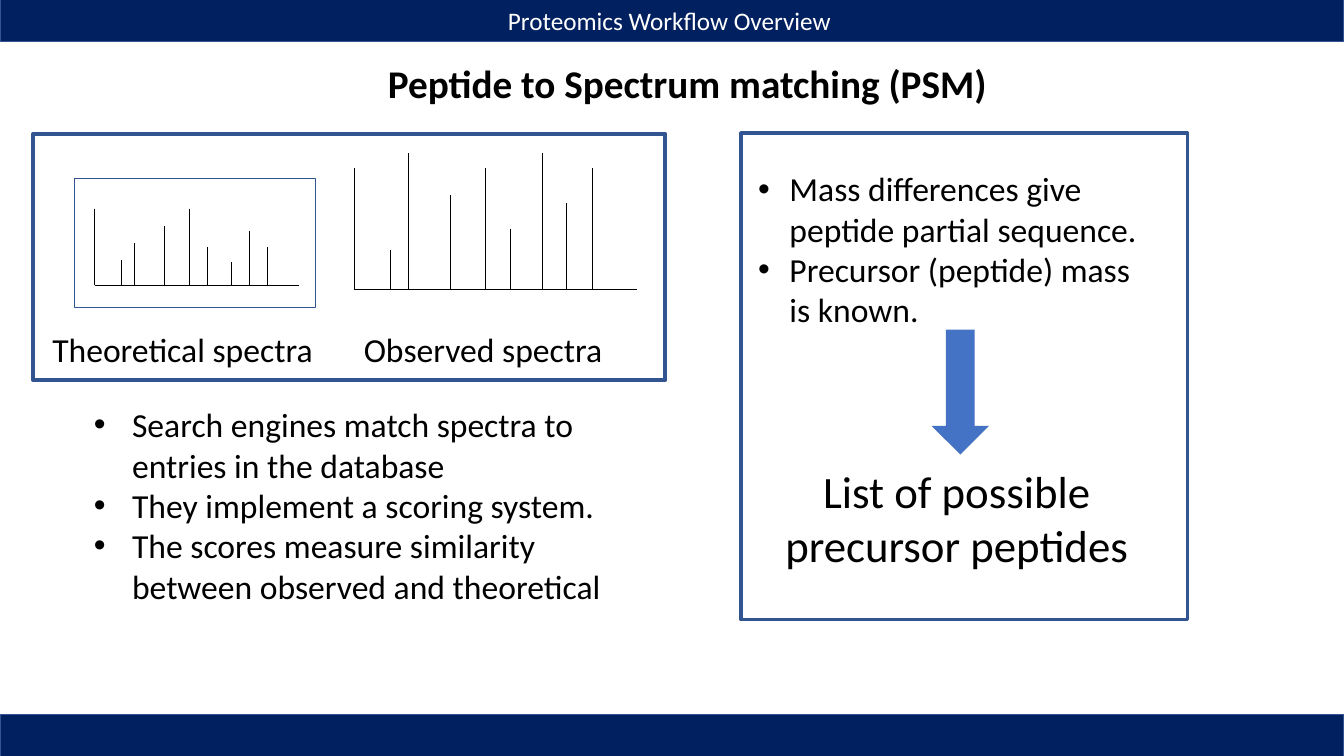
from dataclasses import dataclass

from lxml.etree import SubElement
from pptx import Presentation
from pptx.dml.color import RGBColor as Color
from pptx.enum.shapes import MSO_CONNECTOR as Connector, MSO_SHAPE as Preset
from pptx.enum.text import MSO_ANCHOR as Anchor, MSO_AUTO_SIZE as AutoSize, PP_ALIGN as Align
from pptx.oxml.ns import qn
from pptx.util import Inches, Pt


@dataclass(frozen=True)
class Theme:
    font: str = "Calibri"
    ink: Color = Color(0x00, 0x00, 0x00)
    paper: Color = Color(0xFF, 0xFF, 0xFF)
    navy: Color = Color(0x00, 0x20, 0x60)
    outline: Color = Color(0x32, 0x54, 0x91)
    arrow: Color = Color(0x44, 0x72, 0xC4)
    header_size: int = 18
    body_size: int = 24
    title_size: int = 28
    result_size: int = 32


@dataclass(frozen=True)
class Area:
    left: float
    top: float
    width: float
    height: float

    def lengths(self) -> tuple:
        return tuple(Inches(n) for n in (self.left, self.top, self.width, self.height))


@dataclass(frozen=True)
class Panel:
    area: Area
    fill: Color | None
    line: Color | None
    weight: float = 1
    preset: Preset = Preset.RECTANGLE


@dataclass(frozen=True)
class Label:
    text: str
    area: Area
    size: int
    color: Color
    align: Align = Align.LEFT


@dataclass(frozen=True)
class BulletList:
    area: Area
    indent: float
    items: tuple[str, ...]


@dataclass(frozen=True)
class Spectrum:
    left: float
    right: float
    baseline: float
    axis_top: float
    peaks: tuple[tuple[float, float], ...]
    frame: Panel | None = None


THEME = Theme()
WIDTH, HEIGHT, BAND = 13.33, 7.5, 0.42

TITLE = Label("Peptide to Spectrum matching (PSM)", Area(3.64, 0.54, 6.35, 0.57),
              THEME.title_size, THEME.ink, Align.CENTER)
PANELS = (
    Panel(Area(9.24, 3.27, 0.57, 1.24), THEME.arrow, None, preset=Preset.DOWN_ARROW),
    Panel(Area(0, -0.01, WIDTH, BAND), THEME.navy, THEME.outline),
    Panel(Area(0, 7.09, WIDTH, BAND), THEME.navy, THEME.outline),
    Panel(Area(0.33, 1.33, 6.27, 2.44), THEME.paper, THEME.outline, 3),
    Panel(Area(7.35, 1.32, 4.43, 4.83), None, THEME.outline, 2.25),
)
SPECTRA = (
    Spectrum(0.94, 2.97, 2.83, 2.07,
             ((1.2, 2.58), (1.33, 2.41), (1.63, 2.24), (1.88, 2.07), (2.06, 2.45),
              (2.29, 2.6), (2.47, 2.29), (2.65, 2.45)),
             Panel(Area(0.74, 1.77, 2.39, 1.28), THEME.paper, THEME.outline)),
    Spectrum(3.51, 6.32, 2.87, 1.67,
             ((3.87, 2.48), (4.05, 1.52), (4.47, 1.93), (4.81, 1.67), (5.06, 2.27),
              (5.38, 1.52), (5.62, 2.01), (5.88, 1.67))),
)
LABELS = (
    Label("Proteomics Workflow Overview", Area(4.94, 0, 3.57, 0.4),
          THEME.header_size, THEME.paper),
    Label("Theoretical spectra", Area(0.42, 3.21, 2.91, 0.5), THEME.body_size, THEME.ink),
    Label("Observed spectra", Area(3.51, 3.21, 2.7, 0.5), THEME.body_size, THEME.ink),
    Label("List of possible precursor peptides", Area(7.42, 4.55, 4.14, 1.18),
          THEME.result_size, THEME.ink, Align.CENTER),
)
LISTS = (
    BulletList(Area(0.83, 3.96, 5.77, 2.12), 0.38, (
        "Search engines match spectra to entries in the database",
        "They implement a scoring system.",
        "The scores measure similarity between observed and theoretical")),
    BulletList(Area(7.42, 1.62, 4, 1.72), 0.31, (
        "Mass differences give peptide partial sequence.",
        "Precursor (peptide) mass is known.")),
)


def place(box, area: Area) -> None:
    box.left, box.top, box.width, box.height = area.lengths()


def style_para(para, size: int, color: Color, align: Align, bold: bool = False) -> None:
    para.alignment = align
    para.space_before = para.space_after = Pt(0)
    para.line_spacing = 1.0
    para.font.name = THEME.font
    para.font.size = Pt(size)
    para.font.bold = bold
    para.font.color.rgb = color


def write_label(box, label: Label, bold: bool = False) -> None:
    frame = box.text_frame
    frame.word_wrap = True
    frame.auto_size = AutoSize.NONE
    frame.vertical_anchor = Anchor.TOP
    frame.text = label.text
    style_para(frame.paragraphs[0], label.size, label.color, label.align, bold)


def write_list(box, bullets: BulletList) -> None:
    place(box, bullets.area)
    frame = box.text_frame
    frame.auto_size = AutoSize.NONE
    frame.vertical_anchor = Anchor.TOP
    frame.text = "\n".join(bullets.items)
    for para in frame.paragraphs:
        style_para(para, THEME.body_size, THEME.ink, Align.LEFT)
        properties = para._p.get_or_add_pPr()
        properties.set("marL", str(Inches(bullets.indent)))
        properties.set("indent", str(-Inches(bullets.indent)))


def draw_panel(shapes, panel: Panel) -> None:
    shape = shapes.add_shape(panel.preset, *panel.area.lengths())
    shape.shadow.inherit = False
    if panel.fill is None:
        shape.fill.background()
    else:
        shape.fill.solid()
        shape.fill.fore_color.rgb = panel.fill
    if panel.line is None:
        shape.line.fill.background()
    else:
        shape.line.color.rgb = panel.line
        shape.line.width = Pt(panel.weight)


def draw_line(shapes, x1: float, y1: float, x2: float, y2: float) -> None:
    line = shapes.add_connector(Connector.STRAIGHT, *map(Inches, (x1, y1, x2, y2)))
    line.line.color.rgb = THEME.ink
    line.line.width = Pt(0.5)
    SubElement(line._element.spPr, qn("a:effectLst"))


def draw_spectrum(page, spectrum: Spectrum) -> None:
    shapes = page.shapes.add_group_shape().shapes
    if spectrum.frame:
        draw_panel(shapes, spectrum.frame)
    draw_line(shapes, spectrum.left, spectrum.baseline, spectrum.right, spectrum.baseline)
    for x, top in ((spectrum.left, spectrum.axis_top), *spectrum.peaks):
        draw_line(shapes, x, top, x, spectrum.baseline)


deck = Presentation()
deck.slide_width, deck.slide_height = Inches(WIDTH), Inches(HEIGHT)
page = deck.slides.add_slide(deck.slide_layouts.get_by_name("Two Content"))

title, *bodies = page.placeholders
place(title, TITLE.area)
write_label(title, TITLE, bold=True)
for body, bullets in zip(bodies, LISTS):
    write_list(body, bullets)
for panel in PANELS:
    draw_panel(page.shapes, panel)
for spectrum in SPECTRA:
    draw_spectrum(page, spectrum)
for label in LABELS:
    write_label(page.shapes.add_textbox(*label.area.lengths()), label)

deck.save("out.pptx")
